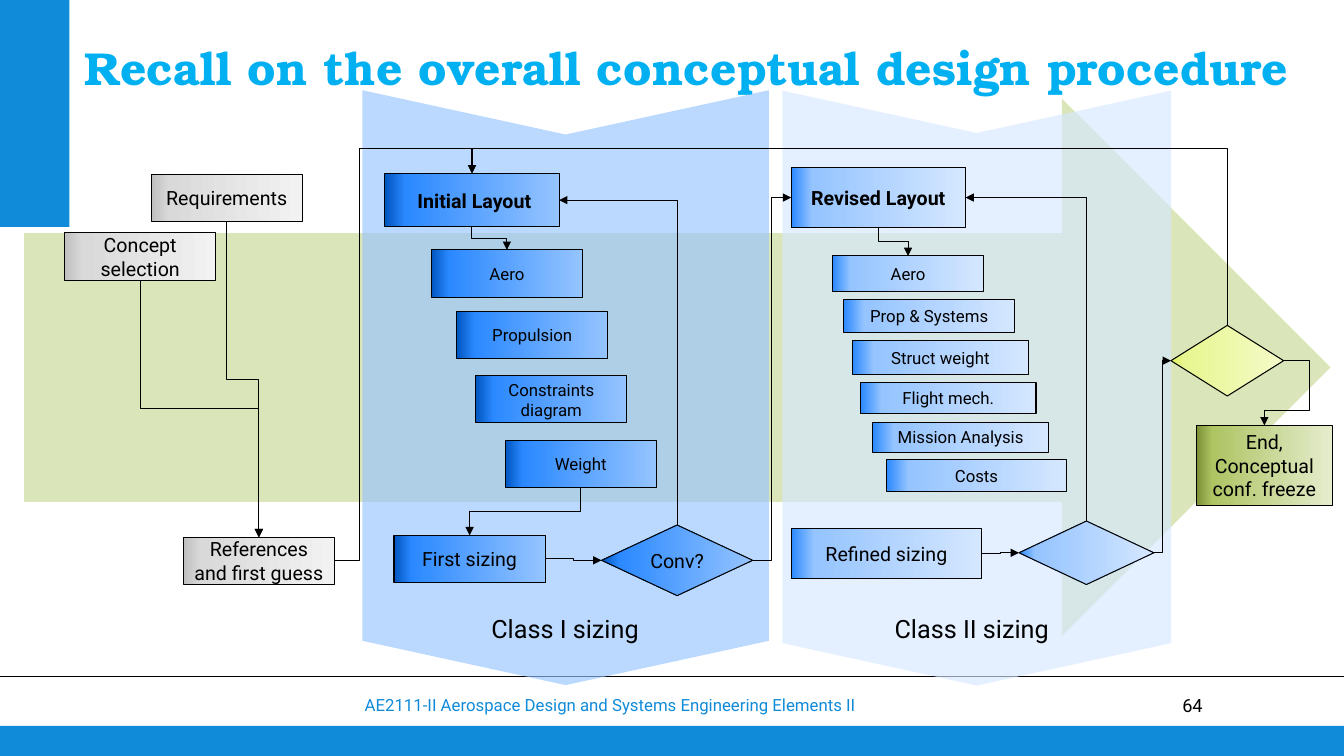
from dataclasses import dataclass

from lxml import etree
from pptx import Presentation
from pptx.dml.color import RGBColor
from pptx.enum.shapes import MSO_CONNECTOR, MSO_SHAPE
from pptx.enum.text import MSO_ANCHOR, MSO_AUTO_SIZE, PP_ALIGN
from pptx.oxml.ns import qn
from pptx.util import Cm, Pt

RECT, DIAMOND = MSO_SHAPE.RECTANGLE, MSO_SHAPE.DIAMOND
CHEVRON, RIGHT_ARROW = MSO_SHAPE.CHEVRON, MSO_SHAPE.RIGHT_ARROW
ELBOW, STRAIGHT = MSO_CONNECTOR.ELBOW, MSO_CONNECTOR.STRAIGHT
LEFT, CENTER, RIGHT = PP_ALIGN.LEFT, PP_ALIGN.CENTER, PP_ALIGN.RIGHT
TOP, MIDDLE, BOTTOM = MSO_ANCHOR.TOP, MSO_ANCHOR.MIDDLE, MSO_ANCHOR.BOTTOM
NO_FIT = MSO_AUTO_SIZE.NONE

BODY_FONT, TITLE_FONT = "Roboto", "TeX Gyre Bonum"
COLOURS = {
    "brand": "108BD9", "title": "00B0F0", "ink": "000000", "paper": "FFFFFF",
    "flow": "AEC463", "class1": "95C4FF", "class2": "D5E7FF",
}
GRADIENTS = {
    "input": ((0, "BFBFBF"), (12, "D9D9D9"), (100, "F2F2F2")),
    "class1": ((0, "0055C0"), (12, "2B89FF"), (100, "95C4FF")),
    "class2": ((0, "2B89FF"), (12, "95C4FF"), (100, "D5E7FF")),
    "freeze": ((0, "DDF25B"), (12, "E8F691"), (100, "F4FBC8")),
    "end": ((0, "7B8F36"), (12, "AEC463"), (99, "E5ECCC")),
}
SLIDE_W, SLIDE_H = 33.87, 19.05


@dataclass(frozen=True)
class Block:
    text: str
    gradient: str
    left: float
    top: float
    width: float = 3.81
    height: float = 1.19
    size: int = 14
    bold: bool = False
    outline: int = RECT

    def site(self, side: str) -> tuple[float, float]:
        across, down = {"top": (0.5, 0), "left": (0, 0.5),
                        "bottom": (0.5, 1), "right": (1, 0.5)}[side]
        return self.left + across * self.width, self.top + down * self.height


@dataclass(frozen=True)
class Route:
    source: str
    source_side: str
    target: str
    target_side: str
    bends: int = 3
    adjust: tuple[float, ...] = ()


@dataclass(frozen=True)
class Band:
    outline: int
    colour: str
    left: float
    top: float
    width: float
    height: float
    alpha: int = 100
    rotation: int = 0


BLOCKS = {
    "requirements": Block("Requirements", "input", 3.81, 4.39),
    "concept": Block("Concept selection", "input", 1.63, 5.87),
    "references": Block("References and first guess", "input", 4.62, 13.54),
    "initial": Block(" Initial Layout", "class1", 9.7, 4.37, 4.39, 1.35, bold=True),
    "aero1": Block("Aero", "class1", 10.87, 6.3, size=12),
    "propulsion": Block("Propulsion", "class1", 11.51, 7.85, size=12),
    "constraints": Block("Constraints diagram", "class1", 11.99, 9.47, size=12),
    "weight": Block("Weight", "class1", 12.73, 11.1, size=12),
    "first": Block("First sizing", "class1", 9.93, 13.49),
    "converged1": Block("Conv?", "class1", 15.16, 13.23, 3.81, 1.78, outline=DIAMOND),
    "revised": Block("Revised Layout", "class2", 19.94, 4.22, 4.39, 1.52, bold=True),
    "aero2": Block("Aero", "class2", 20.98, 6.45, 3.81, 0.89, 12),
    "systems": Block("Prop & Systems", "class2", 21.26, 7.54, 4.32, 0.84, 12),
    "structure": Block("Struct weight", "class2", 21.49, 8.59, 4.42, 0.86, 12),
    "flight": Block("Flight mech.", "class2", 21.69, 9.65, 4.42, 0.76, 12),
    "mission": Block("Mission Analysis", "class2", 22, 10.64, 4.42, 0.76, 12),
    "costs": Block("Costs", "class2", 22.35, 11.58, 4.52, 0.81, 12),
    "refined": Block("Refined sizing", "class2", 19.94, 13.31, 4.8, 1.27),
    "converged2": Block("", "class2", 25.68, 13.13, 3.4, 1.6, outline=DIAMOND),
    "freeze": Block("", "freeze", 29.51, 8.2, 2.84, 1.78, outline=DIAMOND),
    "end": Block("End, Conceptual conf. freeze", "end", 30.15, 10.72, 3.43, 2.01),
}
ROUTES = (
    Route("requirements", "bottom", "references", "top"),
    Route("concept", "bottom", "references", "top"),
    Route("references", "right", "initial", "top", 4, (0.184, 1.065)),
    Route("initial", "bottom", "aero1", "top"),
    Route("weight", "bottom", "first", "top"),
    Route("first", "right", "converged1", "left"),
    Route("converged1", "top", "initial", "right", 2),
    Route("converged1", "right", "revised", "left"),
    Route("revised", "bottom", "aero2", "top"),
    Route("refined", "right", "converged2", "left"),
    Route("converged2", "top", "revised", "right", 2),
    Route("converged2", "right", "freeze", "left"),
    Route("freeze", "top", "initial", "top", 3, (1.165,)),
    Route("freeze", "right", "end", "top", 4, (-1.322, 0.774)),
)
BANDS = (
    Band(RECT, "brand", 0, 18.29, SLIDE_W, 0.76),
    Band(RECT, "brand", 0, 0, 1.75, 5.72),
    Band(RIGHT_ARROW, "flow", 0.61, 2.49, 32.92, 13.54, 44),
    Band(CHEVRON, "class2", 17.12, 4.88, 14.99, 9.8, 64, 90),
    Band(CHEVRON, "class1", 6.76, 4.65, 14.99, 10.24, 64, 90),
)
RULES = ((18.85, "paper", 0.75), (17.04, "ink", 1))


def rgb(name: str) -> RGBColor:
    return RGBColor.from_string(COLOURS[name])


def write(frame, text: str, size: float, colour: str = "ink", align=CENTER,
          anchor=MIDDLE, bold: bool = False, font: str = BODY_FONT,
          inset: bool = True) -> None:
    frame.text = text
    frame.word_wrap = True
    frame.auto_size = NO_FIT
    frame.vertical_anchor = anchor
    if not inset:
        frame.margin_left = frame.margin_right = Cm(0)
        frame.margin_top = frame.margin_bottom = Cm(0)
    paragraph = frame.paragraphs[0]
    paragraph.alignment = align
    for run in paragraph.runs:
        run.font.name, run.font.size, run.font.bold = font, Pt(size), bold
        run.font.color.rgb = rgb(colour)


def draw_band(slide, band: Band) -> None:
    shape = slide.shapes.add_shape(
        band.outline, Cm(band.left), Cm(band.top), Cm(band.width), Cm(band.height))
    shape.shadow.inherit = False
    shape.rotation = band.rotation
    shape.line.fill.background()
    shape.fill.solid()
    shape.fill.fore_color.rgb = rgb(band.colour)
    if band.outline == CHEVRON:
        shape.adjustments[0] = 0.109
    if band.alpha < 100:
        tint = shape._element.spPr.find(f"{qn('a:solidFill')}/{qn('a:srgbClr')}")
        etree.SubElement(tint, qn("a:alpha"), val=str(band.alpha * 1000))


def draw_block(slide, block: Block) -> None:
    shape = slide.shapes.add_shape(
        block.outline, Cm(block.left), Cm(block.top), Cm(block.width), Cm(block.height))
    shape.shadow.inherit = False
    shape.line.color.rgb, shape.line.width = rgb("ink"), Pt(0.75)
    shape.fill.gradient()
    shape.fill.gradient_angle = 0
    stops = shape._element.spPr.find(f"{qn('a:gradFill')}/{qn('a:gsLst')}")
    for default_stop in list(stops):
        stops.remove(default_stop)
    for position, colour in GRADIENTS[block.gradient]:
        stop = etree.SubElement(stops, qn("a:gs"), pos=str(position * 1000))
        etree.SubElement(stop, qn("a:srgbClr"), val=colour)
    if block.text:
        write(shape.text_frame, block.text, block.size, bold=block.bold)


def draw_line(slide, kind, x1: float, y1: float, x2: float, y2: float,
              colour: str, width: float):
    line = slide.shapes.add_connector(kind, Cm(x1), Cm(y1), Cm(x2), Cm(y2))
    line.line.color.rgb, line.line.width = rgb(colour), Pt(width)
    etree.SubElement(line._element.spPr, qn("a:effectLst"))
    return line


def draw_route(slide, route: Route) -> None:
    x1, y1 = BLOCKS[route.source].site(route.source_side)
    x2, y2 = BLOCKS[route.target].site(route.target_side)
    rotation = 0
    if route.source_side in ("top", "bottom"):
        rotation = 90 if y2 > y1 else 270
        mid_x, mid_y = (x1 + x2) / 2, (y1 + y2) / 2
        half_w, half_h = abs(y2 - y1) / 2, abs(x2 - x1) / 2
        if (x2 - x1) * (y2 - y1) > 0:
            half_h = -half_h
        x1, y1, x2, y2 = mid_x - half_w, mid_y - half_h, mid_x + half_w, mid_y + half_h
    arrow = draw_line(slide, ELBOW, x1, y1, x2, y2, "ink", 0.75)
    properties = arrow._element.spPr
    if rotation:
        properties.find(qn("a:xfrm")).set("rot", str(rotation * 60000))
    geometry = properties.find(qn("a:prstGeom"))
    geometry.set("prst", f"bentConnector{route.bends}")
    guides = geometry.find(qn("a:avLst"))
    for number, value in enumerate(route.adjust, 1):
        etree.SubElement(guides, qn("a:gd"), name=f"adj{number}",
                         fmla=f"val {round(value * 100000)}")
    etree.SubElement(properties.find(qn("a:ln")), qn("a:tailEnd"), type="triangle")


def add_label(slide, left: float, top: float, width: float, height: float,
              text: str, size: float, **style) -> None:
    label = slide.shapes.add_textbox(Cm(left), Cm(top), Cm(width), Cm(height))
    write(label.text_frame, text, size, anchor=TOP, **style)


def main() -> None:
    deck = Presentation()
    deck.slide_width, deck.slide_height = Cm(SLIDE_W), Cm(SLIDE_H)
    slide = deck.slides.add_slide(deck.slide_layouts[5])
    title = slide.shapes.title
    title.left, title.top, title.width, title.height = Cm(2.13), Cm(0.28), Cm(30.73), Cm(2.11)
    write(title.text_frame, "Recall on the overall conceptual design procedure", 33,
          "title", LEFT, BOTTOM, True, TITLE_FONT, False)
    for y, colour, width in RULES:
        draw_line(slide, STRAIGHT, 0, y, SLIDE_W, y, colour, width)
    for band in BANDS:
        draw_band(slide, band)
    rule = slide.shapes[1]._element
    rule.getparent().insert(rule.getparent().index(slide.shapes[3]._element), rule)
    for block in BLOCKS.values():
        draw_block(slide, block)
    for route in ROUTES:
        draw_route(slide, route)
    add_label(slide, 5.77, 15.32, 16.94, 1.02, "Class I sizing", 18)
    add_label(slide, 16.36, 15.32, 16.26, 1.02, "Class II sizing", 18)
    add_label(slide, 8.94, 17.37, 17.91, 0.76,
              "AE2111-II Aerospace Design and Systems Engineering Elements II", 12,
              colour="brand", align=LEFT)
    add_label(slide, 28.3, 17.5, 2.01, 0.71, "64", 13, align=RIGHT, inset=False)
    deck.save("out.pptx")


if __name__ == "__main__":
    main()
